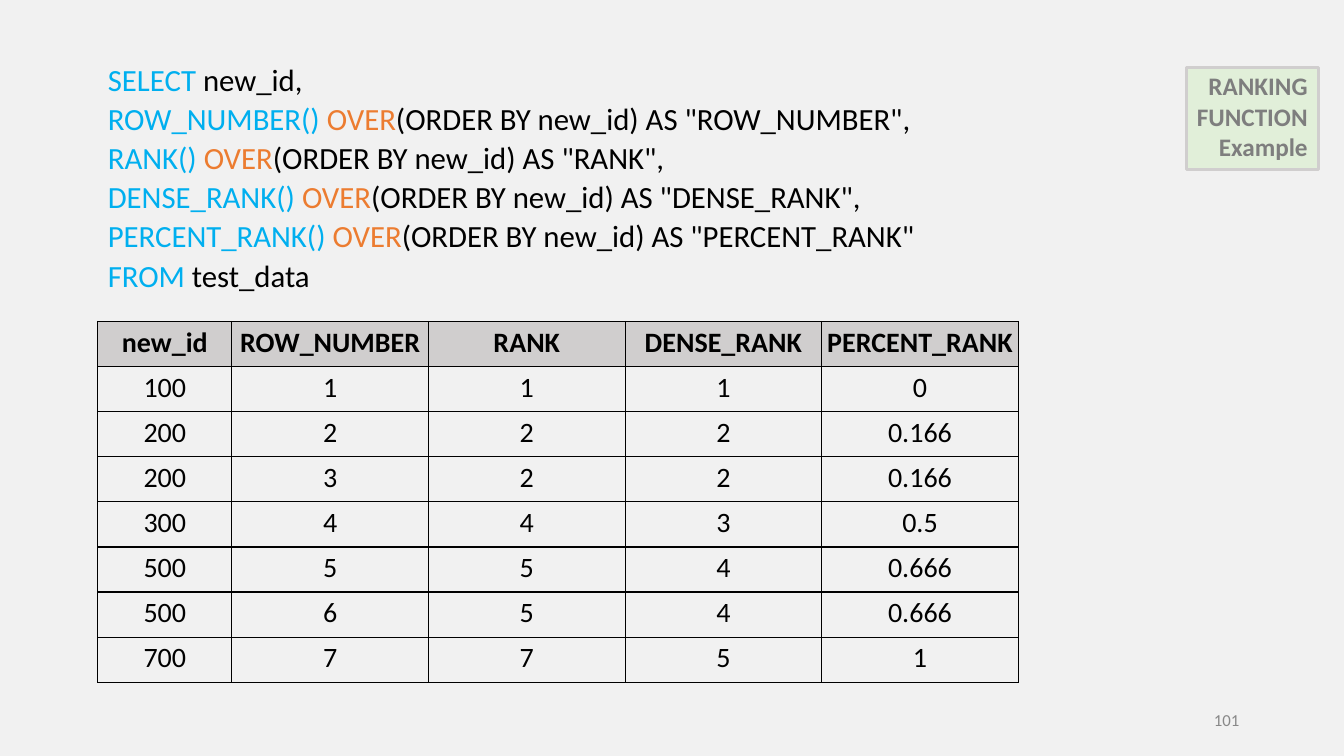
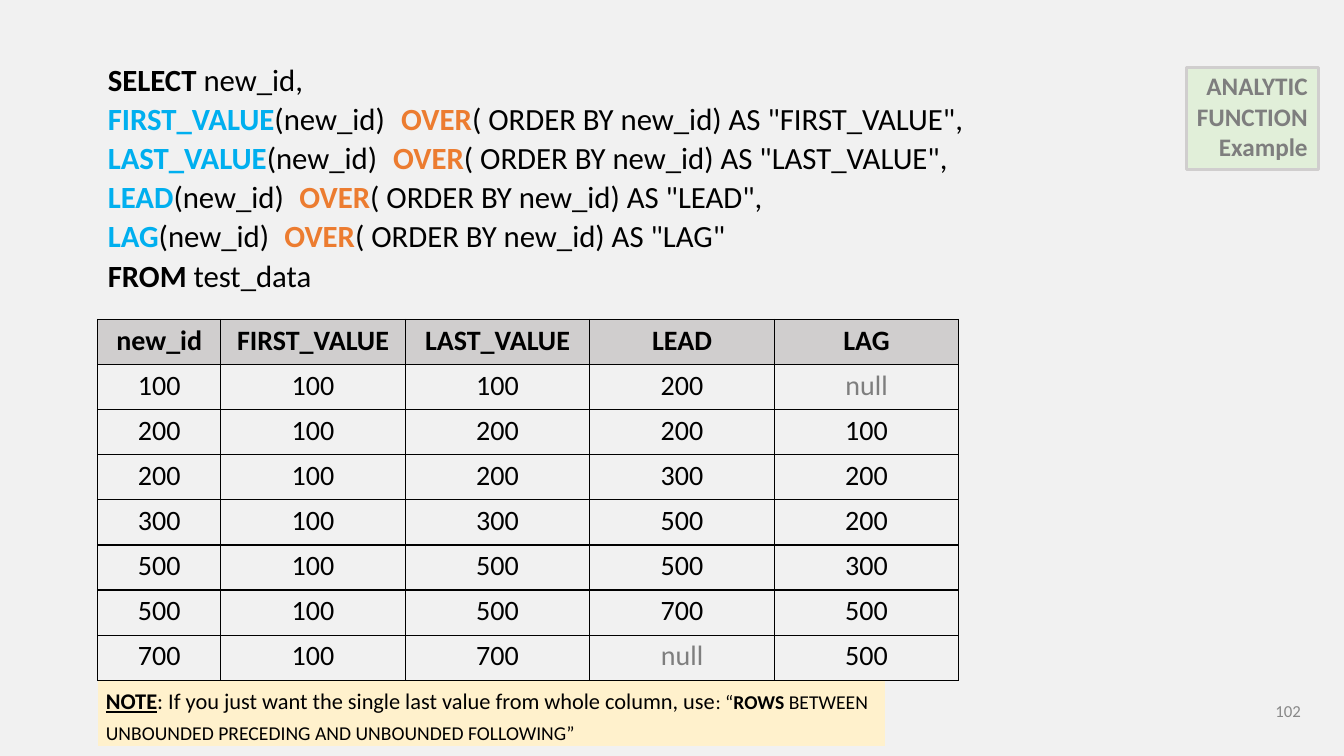
from lxml import etree
from pptx import Presentation
from pptx import util as u
from pptx.dml.color import RGBColor
from pptx.enum import shapes, text
from pptx.oxml.ns import qn

BLACK, BLUE, ORANGE = "000000", "00AFEF", "EC7C30"
GREY, PALE_GREY, HEADER = "7E7E7E", "888888", "D0CECE"
BACKGROUND, GREEN, YELLOW = "F1F1F1", "E1EFD9", "FFF1CC"
NO_STYLE = "{2D5ABB26-0587-4C30-8999-92F81FD0307C}"


def rgb(value):
    return RGBColor.from_string(value)


class Deck:
    font = "Calibri"

    def __init__(self):
        self.prs = Presentation()
        self.prs.slide_width = u.Inches(13.33)
        self.prs.slide_height = u.Inches(7.5)
        fill = self.prs.slide_master.background.fill
        fill.solid()
        fill.fore_color.rgb = rgb(BACKGROUND)
        self.s = None

    def slide(self):
        self.s = self.prs.slides.add_slide(self.prs.slide_layouts[6])

    def run(self, p, words, size, color=BLACK, bold=False, underline=False):
        r = p.add_run()
        r.text = words
        f = r.font
        f.name, f.size, f.bold = self.font, u.Pt(size), bold
        f.underline = underline
        f.color.rgb = rgb(color)

    def margins(self, box, left=0, top=0, right=0, bottom=0):
        box.margin_left, box.margin_top = u.Inches(left), u.Inches(top)
        box.margin_right, box.margin_bottom = u.Inches(right), u.Inches(bottom)

    def paragraphs(self, tf, count):
        return [tf.paragraphs[0]] + [tf.add_paragraph() for _ in range(count - 1)]

    def textbox(self, x, y, w, h):
        tf = self.s.shapes.add_textbox(*map(u.Inches, (x, y, w, h))).text_frame
        tf.word_wrap = True
        self.margins(tf)
        return tf

    def code(self, lines):
        tf = self.textbox(1.07, 0.6, 8.6, 2.36)
        for i, (p, (tab, runs)) in enumerate(zip(self.paragraphs(tf, len(lines)), lines)):
            if tab:
                tabs = etree.SubElement(p._p.get_or_add_pPr(), qn("a:tabLst"))
                etree.SubElement(tabs, qn("a:tab"), pos=str(u.Inches(tab)), algn="l")
            if i:
                p.space_before = u.Pt(1.6)
            for run in runs:
                self.run(p, run[0], 22, *run[1:])

    def badge(self, topic):
        sp = self.s.shapes.add_shape(
            shapes.MSO_SHAPE.RECTANGLE, *map(u.Inches, (11.77, 0.67, 1.31, 1.01)))
        sp.shadow.inherit = False
        sp.fill.solid()
        sp.fill.fore_color.rgb = rgb(GREEN)
        sp.line.color.rgb = rgb(HEADER)
        sp.line.width = u.Pt(2.25)
        tf = sp.text_frame
        tf.word_wrap = True
        tf.vertical_anchor = text.MSO_ANCHOR.TOP
        self.margins(tf, left=0.05, top=0.03, right=0.11)
        for p, words in zip(self.paragraphs(tf, 2), (f"{topic} FUNCTION", "Example")):
            p.alignment = text.PP_ALIGN.RIGHT
            self.run(p, words, 18, GREY, True)

    def page_number(self, number, x, y):
        p = self.textbox(x, y, 0.29, 0.17).paragraphs[0]
        p.line_spacing = u.Pt(12.4)
        self.run(p, number, 12, PALE_GREY)

    def borders(self, cell, sides):
        for side in sides:
            ln = etree.SubElement(cell._tc.get_or_add_tcPr(), qn(f"a:ln{side}"), w=str(u.Pt(1)))
            fill = etree.SubElement(ln, qn("a:solidFill"))
            etree.SubElement(fill, qn("a:srgbClr"), val=BLACK)

    def fill(self, cell, color):
        if color:
            cell.fill.solid()
            cell.fill.fore_color.rgb = rgb(color)
        else:
            cell.fill.background()

    def table(self, y, widths, rows, note=None):
        height = 3.58
        count = len(rows) + bool(note)
        frame = self.s.shapes.add_table(
            count, len(widths), *map(u.Inches, (0.97, y, sum(widths), height)))
        table = frame.table
        table.first_row = table.horz_banding = False
        table._tbl.tblPr.find(qn("a:tableStyleId")).text = NO_STYLE
        for column, width in zip(table.columns, widths):
            column.width = u.Inches(width)
        last = len(widths) - 1
        for i, values in enumerate(rows):
            table.rows[i].height = u.Inches(height / len(rows))
            for j in range(len(widths)):
                cell = table.cell(i, j)
                self.borders(cell, "LRTB")
                self.fill(cell, None if i else HEADER)
            if len(values) <= last:
                table.cell(i, len(values) - 1).merge(table.cell(i, last))
            for j, value in enumerate(values):
                cell = table.cell(i, j)
                self.margins(cell, top=0.04)
                p = cell.text_frame.paragraphs[0]
                p.alignment = text.PP_ALIGN.CENTER
                self.run(p, value, 20, GREY if value == "null" else BLACK, i == 0)
        if note:
            self.note(table, note)

    def note(self, table, lines):
        row, last = len(table.rows) - 1, len(table.columns) - 1
        table.rows[row].height = u.Inches(0.65)
        for j in range(last + 1):
            cell = table.cell(row, j)
            self.borders(cell, "T")
            self.fill(cell, YELLOW if j < last else None)
        cell = table.cell(row, 0)
        cell.merge(table.cell(row, last - 1))
        self.margins(cell, left=0.08, top=0.08)
        for i, (p, runs) in enumerate(zip(self.paragraphs(cell.text_frame, len(lines)), lines)):
            if i:
                p.space_before = u.Pt(4.5)
            for run in runs:
                self.run(p, *run)


def ranking(deck):
    names = ["ROW_NUMBER", "RANK", "DENSE_RANK", "PERCENT_RANK"]
    code = [(None, [("SELECT ", BLUE), ("new_id,",)])]
    for name in names:
        comma = "" if name == names[-1] else ","
        code.append((None, [(f"{name}() ", BLUE), ("OVER", ORANGE),
                            (f'(ORDER BY new_id) AS "{name}"{comma}',)]))
    code.append((None, [("FROM ", BLUE), ("test_data",)]))
    deck.slide()
    deck.code(code)
    deck.table(3.19, [1.33] + [1.95] * 4, [
        ["new_id"] + names,
        ["100", "1", "1", "1", "0"],
        ["200", "2", "2", "2", "0.166"],
        ["200", "3", "2", "2", "0.166"],
        ["300", "4", "4", "3", "0.5"],
        ["500", "5", "5", "4", "0.666"],
        ["500", "6", "5", "4", "0.666"],
        ["700", "7", "7", "5", "1"],
    ])
    deck.badge("RANKING")
    deck.page_number("101", 12.04, 7.07)


def analytic(deck):
    tabs = {"FIRST_VALUE": 2.91, "LAST_VALUE": 2.83, "LEAD": 1.9, "LAG": 1.75}
    code = [(None, [("SELECT ", BLACK, True), ("new_id,",)])]
    for name, tab in tabs.items():
        comma = "" if name == "LAG" else ","
        code.append((tab, [(name, BLUE, True), ("(new_id)\t",), ("OVER", ORANGE, True),
                           (f'( ORDER BY new_id) AS "{name}"{comma}',)]))
    code.append((None, [("FROM ", BLACK, True), ("test_data",)]))
    deck.slide()
    deck.code(code)
    deck.badge("ANALYTIC")
    deck.table(3.17, [1.22, 1.83, 1.83, 1.83, 1.1, 0.73], [
        ["new_id", *tabs],
        ["100", "100", "100", "200", "null"],
        ["200", "100", "200", "200", "100"],
        ["200", "100", "200", "300", "200"],
        ["300", "100", "300", "500", "200"],
        ["500", "100", "500", "500", "300"],
        ["500", "100", "500", "700", "500"],
        ["700", "100", "700", "null", "500"],
    ], note=[
        [("NOTE", 16, BLACK, True, True),
         (": If you just want the single last value from whole column, use", 16),
         (": “", 14), ("ROWS ", 14, BLACK, True), ("BETWEEN", 14)],
        [("UNBOUNDED PRECEDING AND UNBOUNDED FOLLOWING”", 14)],
    ])
    deck.page_number("102", 12.65, 6.98)


def main():
    deck = Deck()
    ranking(deck)
    analytic(deck)
    deck.prs.save("out.pptx")


if __name__ == "__main__":
    main()
